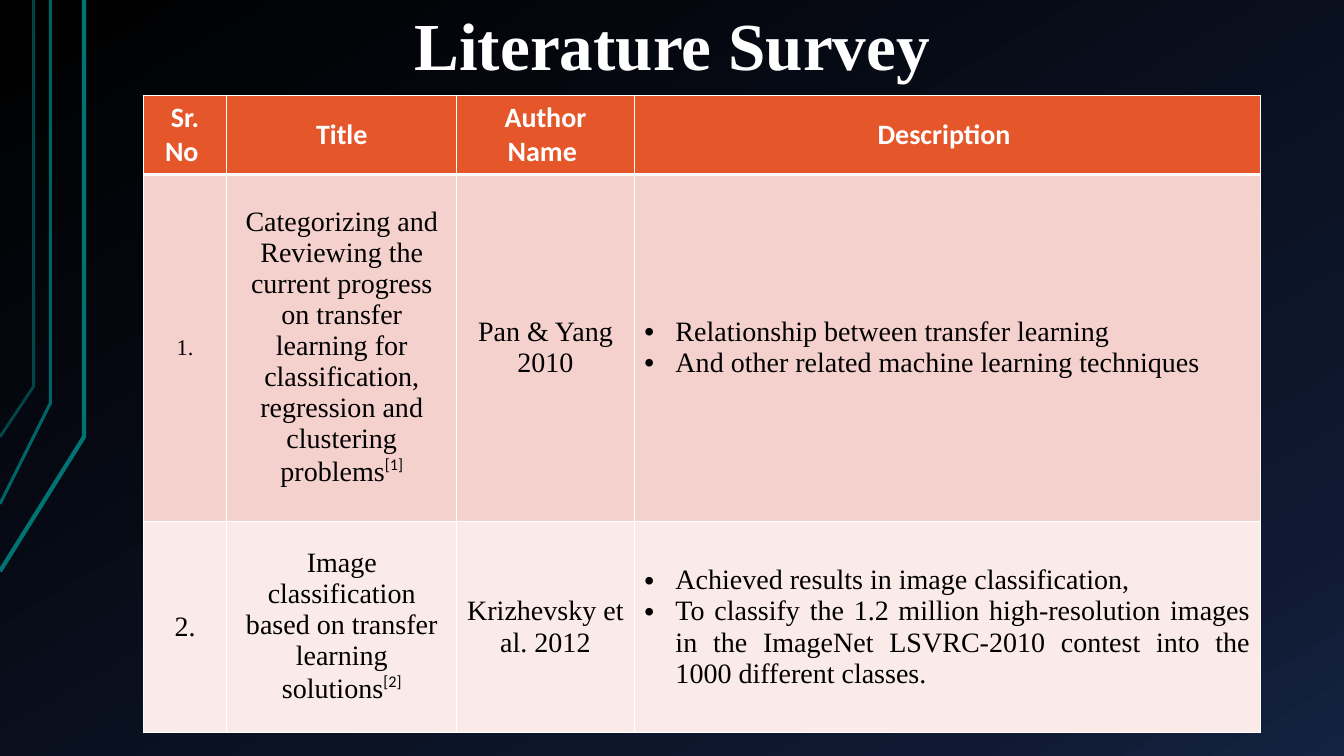
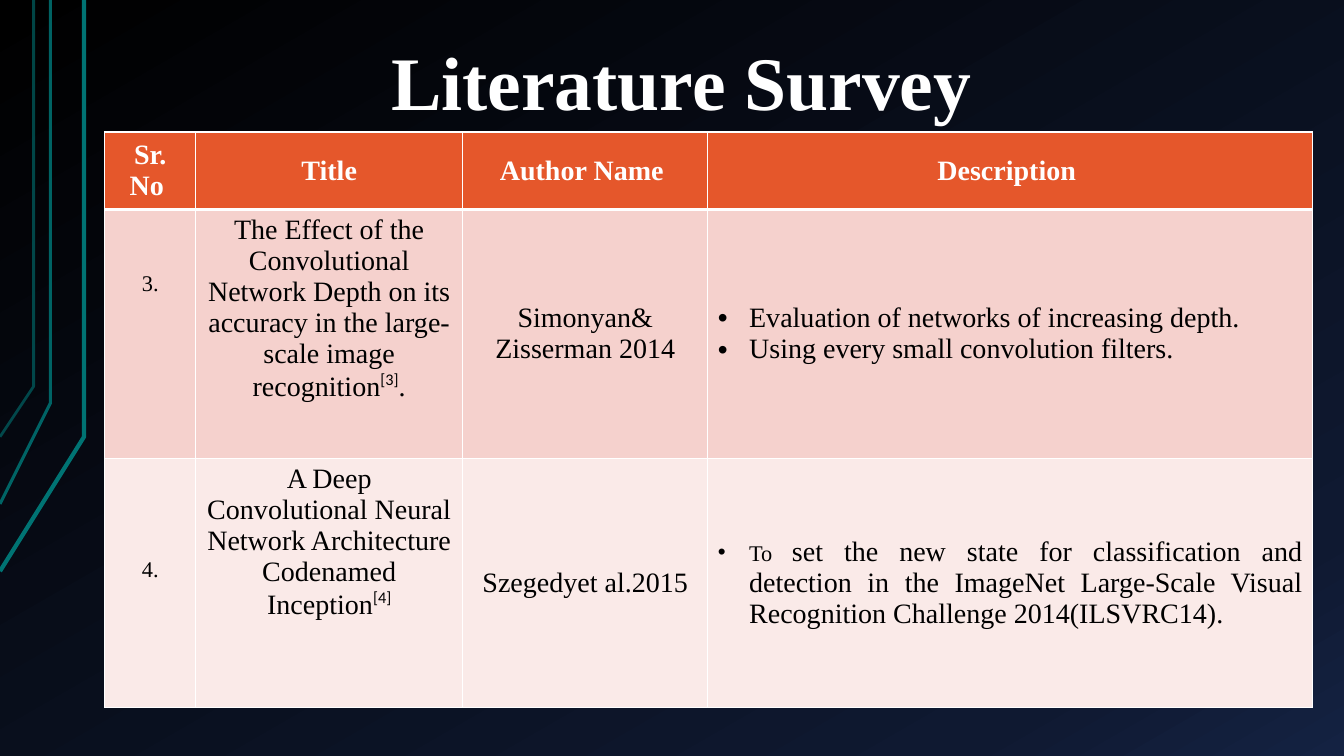
from lxml.etree import SubElement
from copy import deepcopy
from pptx import Presentation
from pptx.dml.color import RGBColor
from pptx.enum.text import MSO_ANCHOR as ANCHOR, PP_ALIGN as ALIGN
from pptx.oxml.ns import qn
from pptx.util import Inches, Pt

COLS, ROWS = 80, 45
SERIF, SANS = "Times New Roman", "Calibri"
WHITE, BLACK, TEAL, ORANGE = "FFFFFF", "000000", "007373", "E5572B"
BANDS = ("F5D1CD", "FAEAE8")
BACKDROP = ((0, BLACK), (0.85, "0F1931"), (1, "142242"))
RAILS = ((5.28, 26.1, 34.2, 3, 100), (3.48, 24.48, 29.8, 2.25, 85), (2.04, 22.86, 26, 2, 60))
HEADERS = ("Sr. No ", "Title", "Author Name ", "Description ")
STYLES = {"body": (20, SERIF), "small": (16, SERIF), "cite": (20, SANS)}


def rgb(value):
    return RGBColor.from_string(value)


class Deck:
    """Holds the style, the presentation and the current slide."""

    def __init__(self):
        self.prs = Presentation()
        self.prs.slide_width, self.prs.slide_height = Inches(13.33), Inches(7.5)
        self.unit = self.prs.slide_height / ROWS

    def grid(self, *cells):
        return [round(c * self.unit) for c in cells]

    def slide(self):
        self.s = self.prs.slides.add_slide(self.prs.slide_layouts[6])
        fill = self.s.background.fill
        fill.gradient()
        fill.gradient_angle = 300
        stops = self.s.element.xpath(".//p:bg//a:gsLst")[0]
        stops.append(deepcopy(stops[-1]))
        for stop, (position, color) in zip(fill.gradient_stops, BACKDROP):
            stop.position, stop.color.rgb = position, rgb(color)
        for rail in RAILS:
            self.rail(*rail)

    def rail(self, x, bend, end, width, opacity):
        path = self.s.shapes.build_freeform(0, end, scale=self.unit)
        path.add_line_segments([(x, bend), (x, 0)], close=False)
        sp = path.convert_to_shape()
        sp.shadow.inherit = False
        sp.fill.background()
        sp.line.color.rgb, sp.line.width = rgb(TEAL), Pt(width)
        color = sp.element.xpath(".//a:ln//a:srgbClr")[0]
        SubElement(color, qn("a:alpha"), val=str(opacity * 1000))

    def font(self, r, size, name, color, bold=False):
        f = r.font
        f.size, f.name, f.bold, f.color.rgb = Pt(size), name, bold, rgb(color)

    def title(self, left, top, size):
        sp = self.s.shapes.add_textbox(*self.grid(left, top, 66.48, 5.28))
        tf = sp.text_frame
        tf.word_wrap, tf.vertical_anchor = True, ANCHOR.BOTTOM
        tf.text = "Literature Survey"
        p = tf.paragraphs[0]
        p.alignment = ALIGN.CENTER
        self.font(p.runs[0], size, SERIF, WHITE, True)

    def runs(self, p, parts):
        for text, style in parts:
            r = p.add_run()
            r.text = text
            self.font(r, *STYLES[style], BLACK)
            if style == "cite":
                r._r.get_or_add_rPr().set("baseline", "40000")

    def bullet(self, p):
        p.alignment = ALIGN.JUSTIFY
        pPr = p._p.get_or_add_pPr()
        pPr.set("marL", str(Inches(0.31)))
        pPr.set("indent", str(-Inches(0.31)))
        SubElement(pPr, qn("a:buFont"), typeface="Arial")
        SubElement(pPr, qn("a:buChar"), char="•")

    def frame(self, cell, fill, top=1, bottom=1):
        tcPr = cell._tc.get_or_add_tcPr()
        for side, width in zip("LRTB", (1, 1, top, bottom)):
            ln = SubElement(tcPr, qn(f"a:ln{side}"), w=str(Pt(width)))
            SubElement(SubElement(ln, qn("a:solidFill")), qn("a:srgbClr"), val=WHITE)
        cell.fill.solid()
        cell.fill.fore_color.rgb = rgb(fill)
        cell.vertical_anchor = ANCHOR.MIDDLE

    def table(self, left, top, widths, heights, header_font, title_anchor, papers):
        box = self.grid(left, top, sum(widths), sum(heights))
        table = self.s.shapes.add_table(len(heights), len(widths), *box).table
        table.first_row = table.horz_banding = False
        for col, width in zip(table.columns, self.grid(*widths)):
            col.width = width
        for row, height in zip(table.rows, self.grid(*heights)):
            row.height = height
        for c, text in enumerate(HEADERS):
            cell = table.cell(0, c)
            self.frame(cell, ORANGE, bottom=3)
            cell.text = text
            p = cell.text_frame.paragraphs[0]
            p.alignment = ALIGN.CENTER
            self.font(p.runs[0], 20, header_font, WHITE, True)
        for i, (lift, *contents) in enumerate(papers):
            for c, paragraphs in enumerate(contents):
                cell = table.cell(i + 1, c)
                self.frame(cell, BANDS[i], top=1 if i else 3)
                tf = cell.text_frame
                for n, parts in enumerate(paragraphs):
                    p = tf.add_paragraph() if n else tf.paragraphs[0]
                    p.alignment = ALIGN.CENTER
                    if c == 3:
                        self.bullet(p)
                    self.runs(p, parts)
            table.cell(i + 1, 0).margin_bottom = Inches(0.05 + lift)
            table.cell(i + 1, 1).vertical_anchor = title_anchor


def paper(number, title, author, points, style="small", lift=0):
    def body(text):
        return [(text, "body")]
    name, cite, *rest = title
    heading = body(name) + [(cite, "cite")] + [(text, "body") for text in rest]
    listed = [body(point) if isinstance(point, str) else point for point in points]
    return lift, [[(number, style)]], [heading], [body(author)], listed


def main():
    deck = Deck()
    deck.slide()
    deck.table(8.52, 5.7, (4.98, 13.68, 10.56, 37.26), (4.5, 20.64, 12.6), SANS, ANCHOR.MIDDLE, [
        paper("1.", ("Categorizing and Reviewing the current progress on transfer learning for "
                     "classification, regression and clustering problems", "[1]"),
              "Pan & Yang 2010",
              ["Relationship between transfer learning ",
               "And other related machine learning techniques"]),
        paper("2.", ("Image classification based on transfer learning solutions", "[2]"),
              "Krizhevsky et al. 2012",
              ["Achieved results in image classification, ",
               "To classify the 1.2 million high-resolution images in the ImageNet "
               "LSVRC-2010 contest into the 1000 different classes."], style="body"),
    ])
    deck.title(6.78, 0, 48)

    deck.slide()
    deck.table(6.24, 7.86, (5.4, 15.9, 14.58, 36), (4.26, 14.82, 14.82), SERIF, ANCHOR.TOP, [
        paper("3.", ("The Effect of the Convolutional Network Depth on its accuracy in the "
                     "large-scale image recognition", "[3]", "."),
              "Simonyan& Zisserman 2014",
              ["Evaluation of networks of increasing depth.",
               "Using every small convolution filters."], lift=1),
        paper("4.", ("A Deep Convolutional Neural Network Architecture Codenamed Inception", "[4]"),
              "Szegedyet al.2015",
              [[("To ", "small"),
                ("set the new state for classification and detection in the ImageNet Large-Scale "
                 "Visual Recognition Challenge 2014(ILSVRC14).", "body")]], lift=0.25),
    ])
    deck.title(7.32, 2.52, 54)
    deck.prs.save("out.pptx")


if __name__ == "__main__":
    main()
